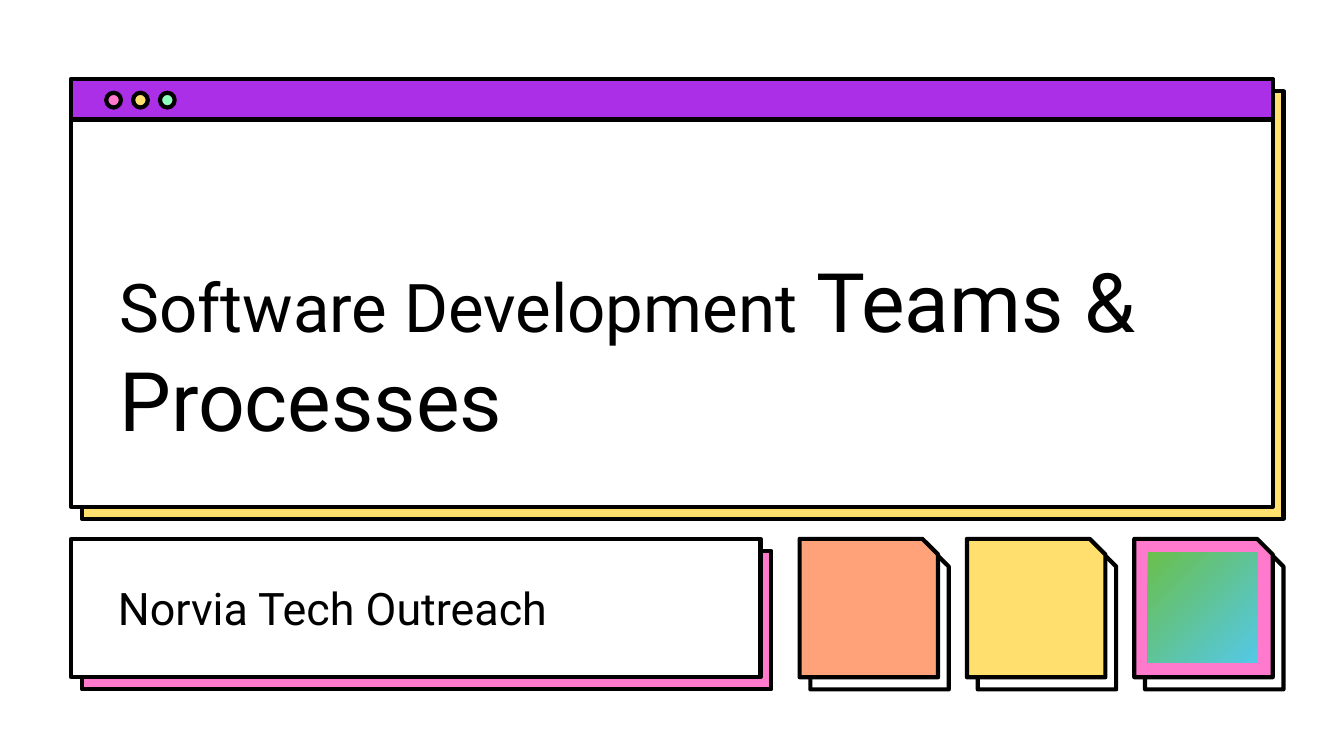
"""Build a title slide with a browser-style window, a subtitle panel and three note tiles."""
from dataclasses import dataclass

from pptx import Presentation
from pptx.dml.color import RGBColor
from pptx.enum.shapes import MSO_SHAPE as Shape
from pptx.enum.text import MSO_ANCHOR as Anchor
from pptx.util import Inches, Pt


@dataclass(frozen=True)
class Theme:
    font: str = "Roboto"
    ink: str = "000000"
    paper: str = "FFFFFF"
    purple: str = "AA2FE6"
    pink: str = "FF7ACD"
    yellow: str = "FFDF6D"
    mint: str = "8FFFC1"
    orange: str = "FFA27A"
    badge_start: str = "6ABF4B"
    badge_end: str = "54C8E8"
    title: int = 36
    title_large: int = 44
    subtitle: int = 24
    outline: float = 2.25


@dataclass(frozen=True)
class Box:
    x: float
    y: float
    w: float
    h: float

    def shifted(self, dx: float, dy: float = 0):
        return Box(self.x + dx, self.y + dy, self.w, self.h)

    def lengths(self):
        return [Inches(v) for v in (self.x, self.y, self.w, self.h)]


@dataclass(frozen=True)
class Card:
    box: Box
    fill: str
    shadow: str
    kind: Shape = Shape.RECTANGLE


THEME = Theme()
SLIDE_W = 10
SLIDE_H = SLIDE_W * 9 / 16
SHADOW_DX, SHADOW_DY = 0.08, 0.09
WINDOW = Box(0.53, 0.59, 8.94, 3.18)
TITLE_BAR = Box(WINDOW.x, WINDOW.y, WINDOW.w, 0.3)
SUBTITLE_PANEL = Box(0.53, 4.01, 5.13, 1.03)
BUTTON, BUTTON_STEP = Box(0.79, 0.69, 0.11, 0.11), 0.2
TILE, LAST_TILE_X = Box(5.95, 4.01, 1.03, 1.03), 8.44
BADGE = Box(8.54, 4.11, 0.82, 0.82)
SNIP = 0.113


def add_outlined(slide, kind: Shape, box: Box, fill: str) -> None:
    sp = slide.shapes.add_shape(kind, *box.lengths())
    sp.shadow.inherit = False
    sp.fill.solid()
    sp.fill.fore_color.rgb = RGBColor.from_string(fill)
    sp.line.color.rgb = RGBColor.from_string(THEME.ink)
    sp.line.width = Pt(THEME.outline)
    if kind == Shape.SNIP_1_RECTANGLE:
        sp.adjustments[0] = SNIP


def add_card(slide, card: Card) -> None:
    add_outlined(slide, card.kind, card.box.shifted(SHADOW_DX, SHADOW_DY), card.shadow)
    add_outlined(slide, card.kind, card.box, card.fill)


def add_badge(slide, box: Box) -> None:
    sp = slide.shapes.add_shape(Shape.RECTANGLE, *box.lengths())
    sp.shadow.inherit = False
    sp.line.fill.background()
    sp.fill.gradient()
    sp.fill.gradient_angle = 315
    for stop, color in zip(sp.fill.gradient_stops, (THEME.badge_start, THEME.badge_end)):
        stop.color.rgb = RGBColor.from_string(color)


def add_text(slide, box: Box, runs: list[tuple[str, int]], anchor: Anchor) -> None:
    tf = slide.shapes.add_textbox(*box.lengths()).text_frame
    tf.word_wrap = True
    tf.vertical_anchor = anchor
    tf.margin_left = tf.margin_right = tf.margin_top = tf.margin_bottom = Inches(0.1)
    p = tf.paragraphs[0]
    for text, size in runs:
        r = p.add_run()
        r.text = text
        r.font.name = THEME.font
        r.font.size = Pt(size)
        r.font.color.rgb = RGBColor.from_string(THEME.ink)


def main() -> None:
    prs = Presentation()
    prs.slide_width, prs.slide_height = Inches(SLIDE_W), Inches(SLIDE_H)
    slide = prs.slides.add_slide(prs.slide_layouts[6])

    add_card(slide, Card(WINDOW, THEME.paper, THEME.yellow))
    add_card(slide, Card(SUBTITLE_PANEL, THEME.paper, THEME.pink))
    add_outlined(slide, Shape.RECTANGLE, TITLE_BAR, THEME.purple)
    for i, color in enumerate((THEME.pink, THEME.yellow, THEME.mint)):
        add_outlined(slide, Shape.OVAL, BUTTON.shifted(i * BUTTON_STEP), color)

    add_text(slide, Box(0.79, 1.24, 8.43, 2.19),
             [("Software Development", THEME.title), (" Teams & Processes", THEME.title_large)],
             Anchor.BOTTOM)
    add_text(slide, Box(0.78, 4.22, 4.54, 0.66),
             [("Norvia Tech Outreach", THEME.subtitle)], Anchor.TOP)

    tile_fills = (THEME.orange, THEME.yellow, THEME.pink)
    step = (LAST_TILE_X - TILE.x) / (len(tile_fills) - 1)
    for i, color in enumerate(tile_fills):
        add_card(slide, Card(TILE.shifted(i * step), color, THEME.paper, Shape.SNIP_1_RECTANGLE))
    add_badge(slide, BADGE)

    prs.save("out.pptx")


if __name__ == "__main__":
    main()
